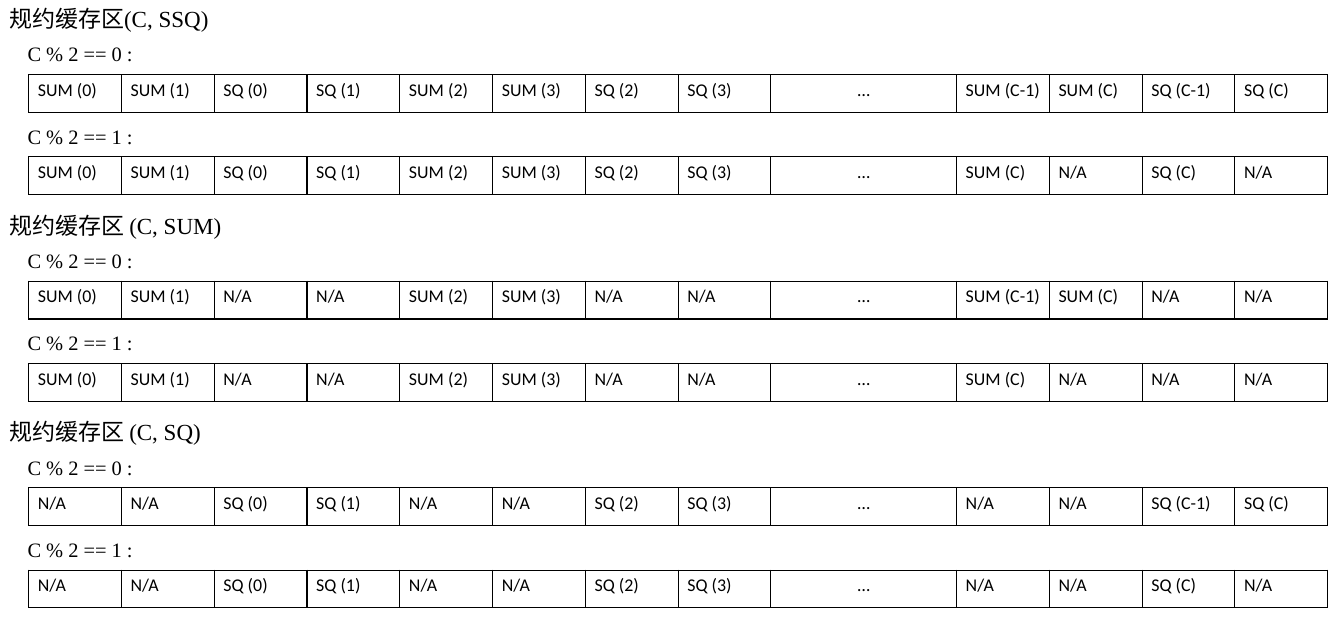
from lxml.etree import SubElement
from pptx import Presentation
from pptx.dml.color import RGBColor
from pptx.enum.text import MSO_AUTO_SIZE as AutoSize, PP_ALIGN as Align
from pptx.oxml.ns import qn
from pptx.util import Cm, Pt

BLACK = RGBColor(0, 0, 0)
WHITE = RGBColor(255, 255, 255)

HEADING_FONT = {"name": "Times New Roman", "size": Pt(18)}
CASE_FONT = {"name": "Times New Roman", "size": Pt(16)}
CELL_FONT = {"name": "Calibri", "size": Pt(14), "bold": False}

SECTION_PITCH = 5.7
CASE_PITCH = 2.27
COLUMN_WIDTH = 2.56
ROW_HEIGHT = 1.04
GAP_COLUMN = 8
COLUMNS = 13

# Heading, heading width, quantities kept in the buffer
SECTIONS = [
    ("规约缓存区(C, SSQ)", 6.45, {"SUM", "SQ"}),
    ("规约缓存区 (C, SUM)", 7.06, {"SUM"}),
    ("规约缓存区 (C, SQ)", 6.45, {"SQ"}),
]
# Last pair of channels for an even and an odd C
CASES = [
    ("C % 2 == 0 :", ("C-1", "C")),
    ("C % 2 == 1 :", ("C", None)),
]


def format_text(paragraph, font_format):
    for attribute, value in font_format.items():
        setattr(paragraph.font, attribute, value)
    paragraph.font.color.rgb = BLACK


def add_label(slide, text, left, top, width, height, font_format):
    frame = slide.shapes.add_textbox(
        Cm(left), Cm(top), Cm(width), Cm(height)).text_frame
    frame.word_wrap = True
    frame.auto_size = AutoSize.SHAPE_TO_FIT_TEXT
    frame.text = text
    format_text(frame.paragraphs[0], font_format)


def add_borders(cell):
    properties = cell._tc.get_or_add_tcPr()
    for side in ("lnL", "lnR", "lnT", "lnB"):
        border = SubElement(properties, qn(f"a:{side}"), w=str(Pt(1)))
        fill = SubElement(border, qn("a:solidFill"))
        SubElement(fill, qn("a:srgbClr"), val=str(BLACK))


def buffer_entries(kept, last_pair):
    """List the slots: two sums, then two squares, for each channel pair."""
    def pair_entries(pair):
        return [
            f"{quantity} ({channel})" if quantity in kept and channel else "N/A"
            for quantity in ("SUM", "SQ") for channel in pair
        ]

    first_pairs = pair_entries(("0", "1")) + pair_entries(("2", "3"))
    return first_pairs + ["…"] + pair_entries(last_pair)


def add_buffer(slide, entries, top):
    table = slide.shapes.add_table(
        1, COLUMNS, Cm(0.79), Cm(top),
        Cm(COLUMN_WIDTH * (COLUMNS + 1)), Cm(ROW_HEIGHT)).table
    table.first_row = False
    table.horz_banding = False
    for index, entry in enumerate(entries):
        is_gap = index == GAP_COLUMN
        table.columns[index].width = Cm(COLUMN_WIDTH * (2 if is_gap else 1))
        cell = table.cell(0, index)
        cell.text = entry
        paragraph = cell.text_frame.paragraphs[0]
        paragraph.alignment = Align.CENTER if is_gap else Align.LEFT
        format_text(paragraph, CELL_FONT)
        add_borders(cell)
        cell.fill.solid()
        cell.fill.fore_color.rgb = WHITE


def main():
    presentation = Presentation()
    presentation.slide_width = Cm(37.08)
    presentation.slide_height = Cm(17.27)
    slide = presentation.slides.add_slide(presentation.slide_layouts[6])

    for section, (heading, width, kept) in enumerate(SECTIONS):
        section_top = section * SECTION_PITCH
        add_label(slide, heading, 0, section_top, width, 1.02, HEADING_FONT)
        for case, (condition, last_pair) in enumerate(CASES):
            case_top = section_top + 1.02 + case * CASE_PITCH
            add_buffer(slide, buffer_entries(kept, last_pair), case_top + 1.04)
            add_label(slide, condition, 0.51, case_top, 4.34, 0.94, CASE_FONT)

    presentation.save("out.pptx")


if __name__ == "__main__":
    main()
